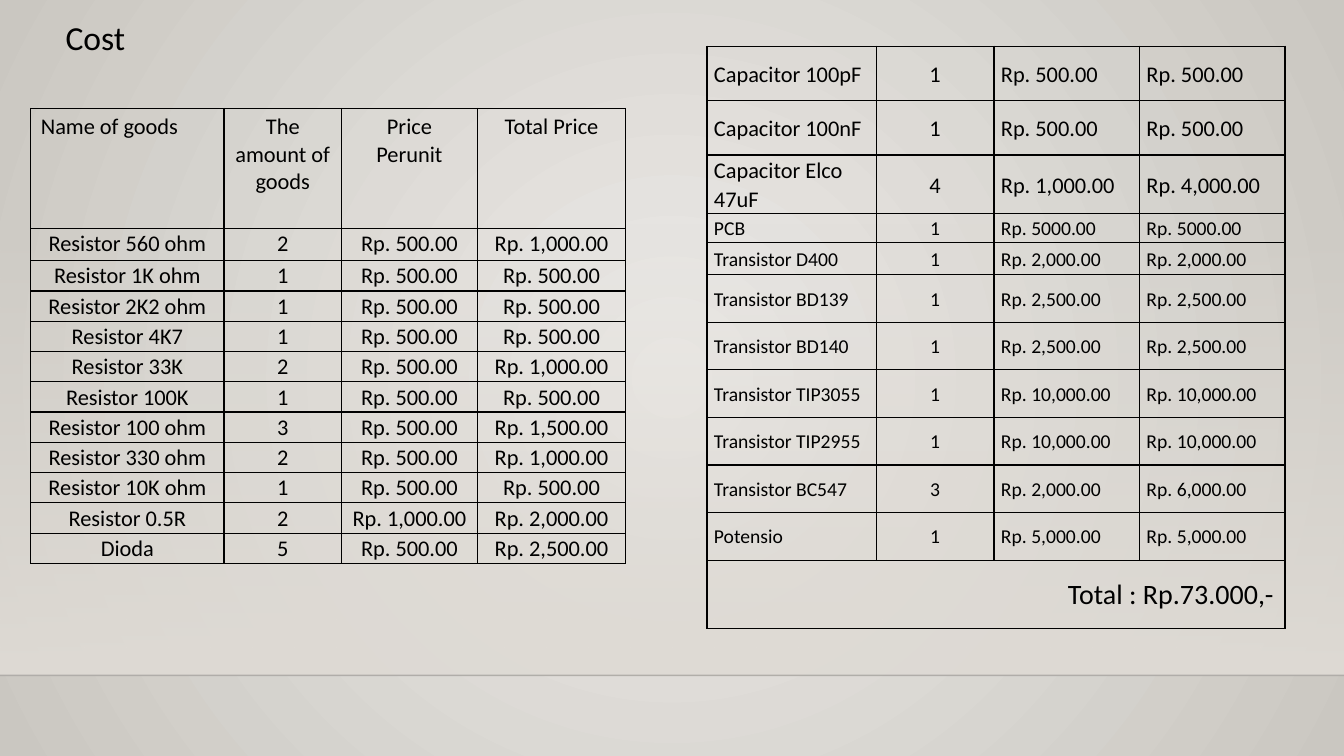
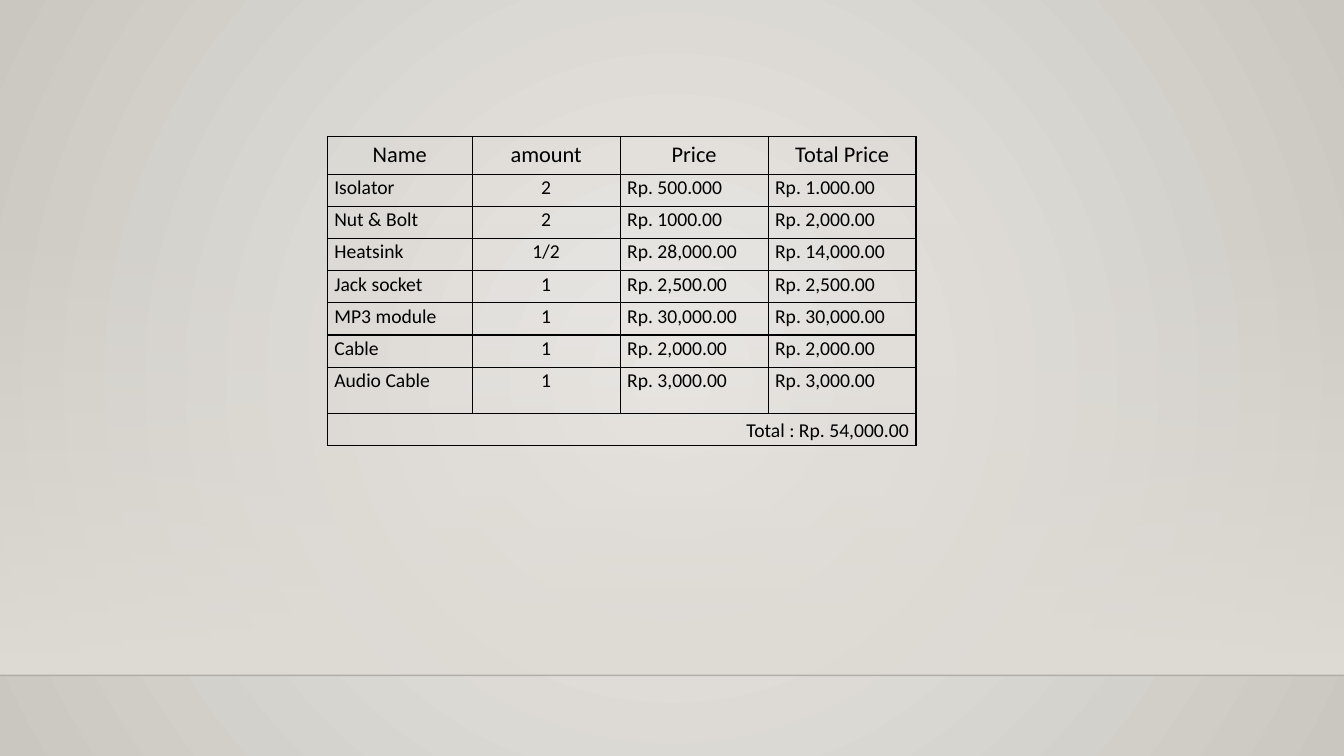
"""Build the two cost slides: parts tables over a soft grey stage."""
from lxml.etree import SubElement
from pptx import Presentation
from pptx.dml.color import RGBColor
from pptx.enum.shapes import MSO_CONNECTOR, MSO_SHAPE
from pptx.enum.text import MSO_ANCHOR, PP_ALIGN
from pptx.oxml.ns import qn
from pptx.util import Pt

COLORS = {"text": "000000", "center": "ECEAE7", "edge": "CAC7C1",
          "band": "DFDBD5", "floor": "000001"}
ALIGNS = {"l": PP_ALIGN.LEFT, "c": PP_ALIGN.CENTER, "r": PP_ALIGN.RIGHT}
WIDTH, HEIGHT, FLOOR = 960, 540, 482.4

RESISTORS = [
    ("Name of goods", "The amount of goods", "Price Perunit", "Total Price"),
    ("Resistor 560 ohm", "2", "Rp. 500.00", "Rp. 1,000.00"),
    ("Resistor 1K ohm", "1", "Rp. 500.00", "Rp. 500.00"),
    ("Resistor 2K2 ohm", "1", "Rp. 500.00", "Rp. 500.00"),
    ("Resistor 4K7", "1", "Rp. 500.00", "Rp. 500.00"),
    ("Resistor 33K", "2", "Rp. 500.00", "Rp. 1,000.00"),
    ("Resistor 100K", "1", "Rp. 500.00", "Rp. 500.00"),
    ("Resistor 100 ohm", "3", "Rp. 500.00", "Rp. 1,500.00"),
    ("Resistor 330 ohm", "2", "Rp. 500.00", "Rp. 1,000.00"),
    ("Resistor 10K ohm", "1", "Rp. 500.00", "Rp. 500.00"),
    ("Resistor 0.5R", "2", "Rp. 1,000.00", "Rp. 2,000.00"),
    ("Dioda", "5", "Rp. 500.00", "Rp. 2,500.00"),
]
TRANSISTORS = [
    ("Capacitor 100pF", "1", "Rp. 500.00", "Rp. 500.00"),
    ("Capacitor 100nF", "1", "Rp. 500.00", "Rp. 500.00"),
    ("Capacitor Elco 47uF", "4", "Rp. 1,000.00", "Rp. 4,000.00"),
    ("PCB", "1", "Rp. 5000.00", "Rp. 5000.00"),
    ("Transistor D400", "1", "Rp. 2,000.00", "Rp. 2,000.00"),
    ("Transistor BD139", "1", "Rp. 2,500.00", "Rp. 2,500.00"),
    ("Transistor BD140", "1", "Rp. 2,500.00", "Rp. 2,500.00"),
    ("Transistor TIP3055", "1", "Rp. 10,000.00", "Rp. 10,000.00"),
    ("Transistor TIP2955", "1", "Rp. 10,000.00", "Rp. 10,000.00"),
    ("Transistor BC547", "3", "Rp. 2,000.00", "Rp. 6,000.00"),
    ("Potensio", "1", "Rp. 5,000.00", "Rp. 5,000.00"),
    ("Total : Rp.73.000,-",),
]
ACCESSORIES = [
    ("Name", "amount", "Price", "Total Price"),
    ("Isolator", "2", "Rp. 500.000", "Rp. 1.000.00"),
    ("Nut & Bolt", "2", "Rp. 1000.00", "Rp. 2,000.00"),
    ("Heatsink", "1/2", "Rp. 28,000.00", "Rp. 14,000.00"),
    ("Jack socket", "1", "Rp. 2,500.00", "Rp. 2,500.00"),
    ("MP3 module", "1", "Rp. 30,000.00", "Rp. 30,000.00"),
    ("Cable", "1", "Rp. 2,000.00", "Rp. 2,000.00"),
    ("Audio Cable", "1", "Rp. 3,000.00", "Rp. 3,000.00"),
    ("Total : Rp. 54,000.00",),
]


def rgb(name):
    return RGBColor.from_string(COLORS[name])


def write(frame, text, size=16, align="l", spacing=1.0):
    para = frame.paragraphs[0]
    para.alignment = ALIGNS[align]
    para.line_spacing = spacing
    span = para.add_run()
    span.text = text
    span.font.name = "Calibri"
    span.font.size = Pt(size)
    span.font.color.rgb = rgb("text")


def fill_gradient(fill, *names):
    fill.gradient()
    for stop, name in zip(fill.gradient_stops, names):
        stop.color.rgb = rgb(name)


def set_opacity(color, percent):
    SubElement(color, qn("a:alpha")).set("val", str(percent * 1000))


def add_borders(cell):
    properties = cell._tc.get_or_add_tcPr()
    for index, side in enumerate(("lnL", "lnR", "lnT", "lnB")):
        line = SubElement(properties, qn(f"a:{side}"), w=str(Pt(1)))
        solid = SubElement(line, qn("a:solidFill"))
        SubElement(solid, qn("a:srgbClr"), val=COLORS["text"])
        properties.insert(index, line)


class CostDeck:
    def __init__(self):
        self.deck = Presentation()
        self.deck.slide_width, self.deck.slide_height = Pt(WIDTH), Pt(HEIGHT)
        self.page = None

    def add_page(self, layout):
        self.page = self.deck.slides.add_slide(self.deck.slide_layouts[layout])

    def set_stage(self):
        master = self.deck.slide_master
        fill_gradient(master.background.fill, "center", "edge")
        gradient = master.element.xpath(".//p:bgPr/a:gradFill")[0]
        gradient.remove(gradient.find(qn("a:lin")))
        circle = SubElement(gradient, qn("a:path"), path="circle")
        SubElement(circle, qn("a:fillToRect"), l="50000", t="50000", r="50000", b="50000")

        band = self.page.shapes.add_shape(MSO_SHAPE.RECTANGLE, 0, Pt(159), Pt(WIDTH), Pt(FLOOR - 159))
        band.shadow.inherit = False
        band.line.fill.background()
        fill_gradient(band.fill, "band", "band")
        band.fill.gradient_angle = 270
        set_opacity(band.element.xpath(".//a:gs/a:srgbClr")[0], 0)

        floor = self.page.shapes.add_connector(MSO_CONNECTOR.STRAIGHT, 0, Pt(FLOOR), Pt(WIDTH), Pt(FLOOR))
        floor.line.width = Pt(1)
        floor.line.color.rgb = rgb("floor")
        set_opacity(floor.element.xpath(".//a:ln//a:srgbClr")[0], 20)
        SubElement(floor.element.spPr, qn("a:effectLst"))

        for index, shape in enumerate((band, floor)):
            shape.element.xpath(".//p:cNvPr")[0].set("id", str(100 + index))
            master.element.cSld.spTree.insert(2 + index, shape.element)

    def add_title(self, text):
        title = self.page.shapes.title
        title.left, title.top, title.width, title.height = Pt(39.6), Pt(8.6), Pt(72), Pt(36)
        title.text_frame.vertical_anchor = MSO_ANCHOR.TOP
        title.text_frame.word_wrap = True
        write(title.text_frame, text, size=24)

    def add_table(self, rows, left, top, widths, heights, sizes,
                  aligns="lcll", header=None, anchor=MSO_ANCHOR.TOP, total_inset=5):
        table = self.page.shapes.add_table(len(rows), len(widths), Pt(left), Pt(top),
                                           Pt(sum(widths)), Pt(sum(heights))).table
        table.first_row = table.horz_banding = False
        for column, width in zip(table.columns, widths):
            column.width = Pt(width)
        for index, (texts, height, size) in enumerate(zip(rows, heights, sizes)):
            table.rows[index].height = Pt(height)
            is_header = bool(header) and index == 0
            is_total = len(texts) == 1
            row_aligns = header if is_header else "r" if is_total else aligns
            cells = [table.cell(index, column) for column in range(len(widths))]
            for cell in cells:
                cell.fill.background()
                add_borders(cell)
                cell.vertical_anchor = MSO_ANCHOR.MIDDLE if is_total else anchor
                if not is_header:
                    cell.margin_left = Pt(5)
                    cell.margin_right = Pt(total_inset if is_total else 5)
                    cell.margin_top = cell.margin_bottom = 0
            if is_total:
                cells[0].merge(cells[-1])
            for cell, text, align in zip(cells, texts, row_aligns):
                write(cell.text_frame, text, size, align, 1.0 if is_header else 1.07)


def main():
    cost = CostDeck()
    cost.add_page(5)
    cost.set_stage()
    cost.add_table(RESISTORS, 22, 77.5, [138, 84, 97, 106], [85.7, 23] + [21.65] * 10,
                   [16] * 12, aligns="cccc", header="lccc")
    cost.add_table(TRANSISTORS, 505, 33, [121, 84, 104, 104],
                   [38.9, 38.9, 41.4, 20.7, 22.9] + [34] * 6 + [48.6],
                   [16] * 3 + [14] * 8 + [20], anchor=MSO_ANCHOR.MIDDLE, total_inset=8)
    cost.add_title("Cost")

    cost.add_page(6)
    cost.add_table(ACCESSORIES, 233.8, 97.4, [103.5] + [105.7] * 3,
                   [27] + [23] * 6 + [33, 23], [16] + [14] * 8, header="cccc")
    cost.deck.save("out.pptx")


if __name__ == "__main__":
    main()
